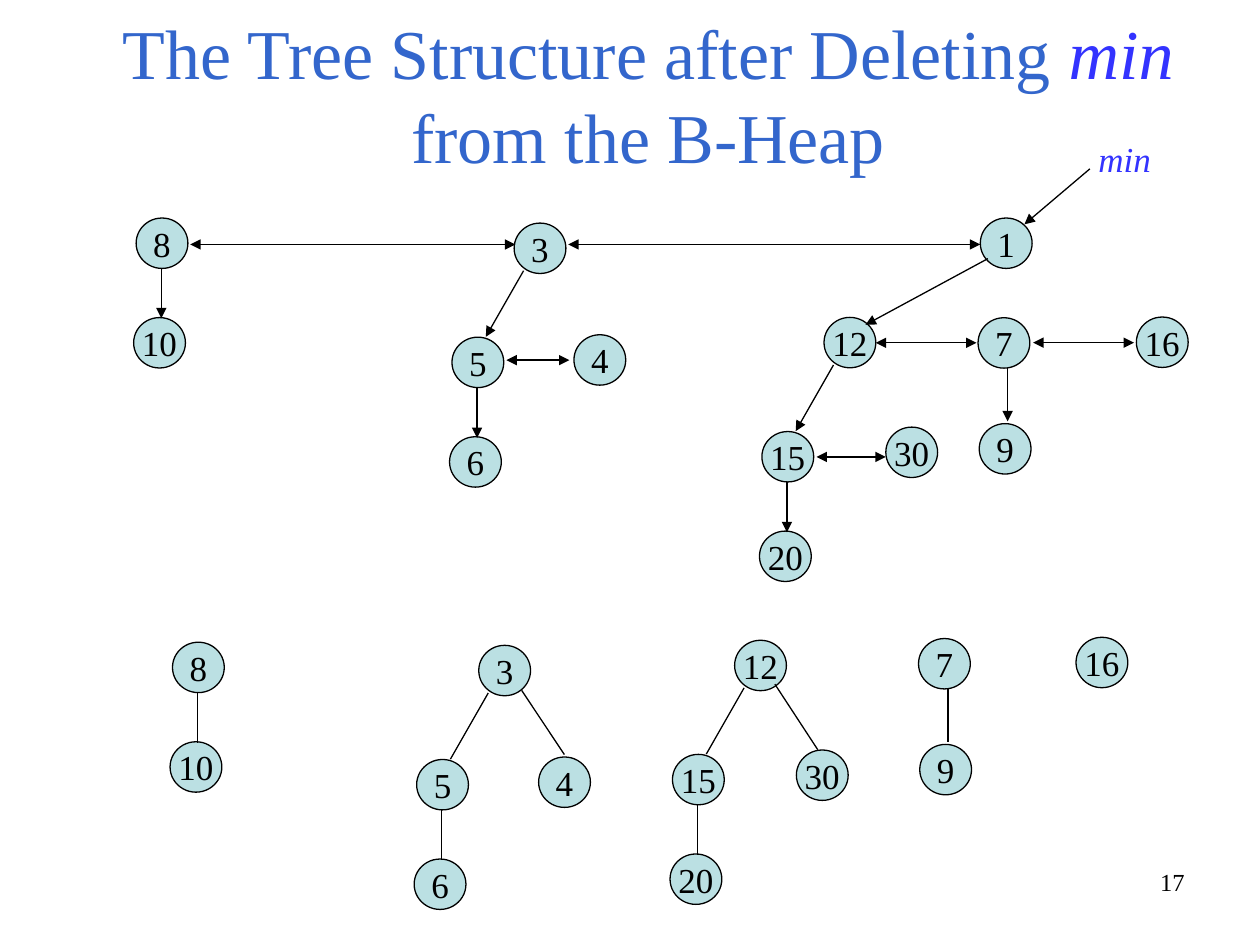
import pptx
import pptx.dml.color
import pptx.enum.shapes
import pptx.enum.text
import pptx.oxml.ns
import pptx.util
from lxml import etree

Pt = pptx.util.Pt
Align = pptx.enum.text.PP_ALIGN
Anchor = pptx.enum.text.MSO_ANCHOR

COLORS = {"title": "3366CC", "accent": "3333FF", "ink": "000000", "node": "BBE0E3"}

PAIR_LINK = [(14.4, 28.8, 14.4, 57.3)]
SHORT_LINK = [(16.9, 28.9, 16.9, 59.2)]
CHAIN_LINKS = [(5.4, 27.2, -16.2, 65), (-21.2, 94.3, -21.2, 122.8)]

TREES = {
    "8": ([("8", 0, 0), ("10", -1.4, 56.9)], PAIR_LINK),
    "3": ([("3", 0, 0), ("5", -35.5, 65.2), ("6", -36.9, 122.1), ("4", 34.2, 63.8)],
          CHAIN_LINKS),
    "12": ([("12", 0, 0), ("15", -35.5, 65.2), ("20", -36.9, 122.1), ("30", 35.3, 62.7)],
           CHAIN_LINKS),
    "7": ([("7", 0, 0), ("9", 0.7, 60.5)], SHORT_LINK),
    "16": ([("16", 0, 0)], []),
    "1": ([("1", 0, 0)], []),
}

HEAP_ROOTS = [("8", 77.8, 124.6), ("3", 293.8, 127.5), ("12", 470.9, 181.4),
              ("1", 560.2, 124.6), ("7", 558.9, 181.6), ("16", 649.4, 181.2)]
FOREST_ROOTS = [("8", 98.6, 367), ("3", 273.6, 368.8), ("12", 419.8, 365.9),
                ("7", 524.9, 364.9), ("16", 614.9, 364.2)]
SIBLING_LINKS = [(289.4, 205.8, 325.4, 205.8), (500.4, 195.9, 558, 195.9),
                 (560.2, 139.7, 324.7, 139.7), (590.4, 195.8, 648, 195.8),
                 (466.6, 261.1, 506.2, 261.1), (294.5, 139.7, 108.7, 139.7)]
CHILD_LINKS = [(564.5, 147.8, 494.6, 185.6), (622.8, 96.5, 585.4, 128.2)]
FOREST_LINKS = [(298.1, 394.5, 322.5, 431.2), (467.3, 428.4, 442.8, 391)]


class Slide:
    """Draws styled nodes, links and text on one page."""

    def __init__(self, page):
        self.page = page
        self.font = "Times New Roman"
        self.node_size = (Pt(29.6), Pt(28.8))
        self.line_width = Pt(0.75)

    def color(self, name):
        return pptx.dml.color.RGBColor.from_string(COLORS[name])

    def fill_text(self, frame, spans, size, frame_format, align):
        for key, value in frame_format.items():
            setattr(frame, key, value)
        para = frame.paragraphs[0]
        para.alignment = align
        for words, color, italic in spans:
            span = para.add_run()
            span.text = words
            for key, value in {"name": self.font, "size": Pt(size), "italic": italic}.items():
                setattr(span.font, key, value)
            span.font.color.rgb = self.color(color)

    def text(self, left, top, width, height, spans, size, align, anchor=Anchor.TOP):
        box = self.page.shapes.add_textbox(Pt(left), Pt(top), Pt(width), Pt(height))
        self.fill_text(box.text_frame, spans, size,
                       {"word_wrap": True, "vertical_anchor": anchor}, align)

    def node(self, label, left, top):
        oval = self.page.shapes.add_shape(
            pptx.enum.shapes.MSO_SHAPE.OVAL, Pt(left), Pt(top), *self.node_size)
        oval.shadow.inherit = False
        oval.fill.solid()
        oval.fill.fore_color.rgb = self.color("node")
        oval.line.color.rgb = self.color("ink")
        oval.line.width = self.line_width
        self.fill_text(oval.text_frame, [(label, "ink", False)], 20,
                       {"word_wrap": False, "vertical_anchor": Anchor.MIDDLE}, Align.CENTER)

    def link(self, ends, arrows=()):
        line = self.page.shapes.add_connector(
            pptx.enum.shapes.MSO_CONNECTOR.STRAIGHT, *[Pt(value) for value in ends])
        line.line.color.rgb = self.color("ink")
        line.line.width = self.line_width
        properties = line._element.spPr
        for end in arrows:
            etree.SubElement(properties.find(pptx.oxml.ns.qn("a:ln")),
                             pptx.oxml.ns.qn("a:" + end), type="triangle")
        etree.SubElement(properties, pptx.oxml.ns.qn("a:effectLst"))

    def tree(self, root, left, top, arrows=()):
        nodes, links = TREES[root]
        for label, across, down in nodes:
            self.node(label, left + across, top + down)
        for x1, y1, x2, y2 in links:
            self.link((left + x1, top + y1, left + x2, top + y2), arrows)


def main():
    deck = pptx.Presentation()
    deck.slide_width, deck.slide_height = Pt(720), Pt(540)
    slide = Slide(deck.slides.add_slide(deck.slide_layouts[6]))

    slide.text(516.2, 491.8, 167.8, 37.4, [("17", "ink", False)], 14, Align.RIGHT)
    slide.text(54, 25.9, 632.9, 79.2,
               [("The Tree Structure after Deleting ", "title", False),
                ("min", "accent", True),
                (" from the B-Heap", "title", False)],
               40, Align.CENTER, Anchor.BOTTOM)

    for root, left, top in FOREST_ROOTS:
        slide.tree(root, left, top)
    for ends in FOREST_LINKS:
        slide.link(ends)

    for root, left, top in HEAP_ROOTS:
        slide.tree(root, left, top, ["tailEnd"])
    for ends in SIBLING_LINKS:
        slide.link(ends, ["headEnd", "tailEnd"])
    for ends in CHILD_LINKS:
        slide.link(ends, ["tailEnd"])
    slide.text(620.6, 74.9, 49, 31.7, [("min", "accent", True)], 20, Align.LEFT)

    deck.save("out.pptx")


if __name__ == "__main__":
    main()
